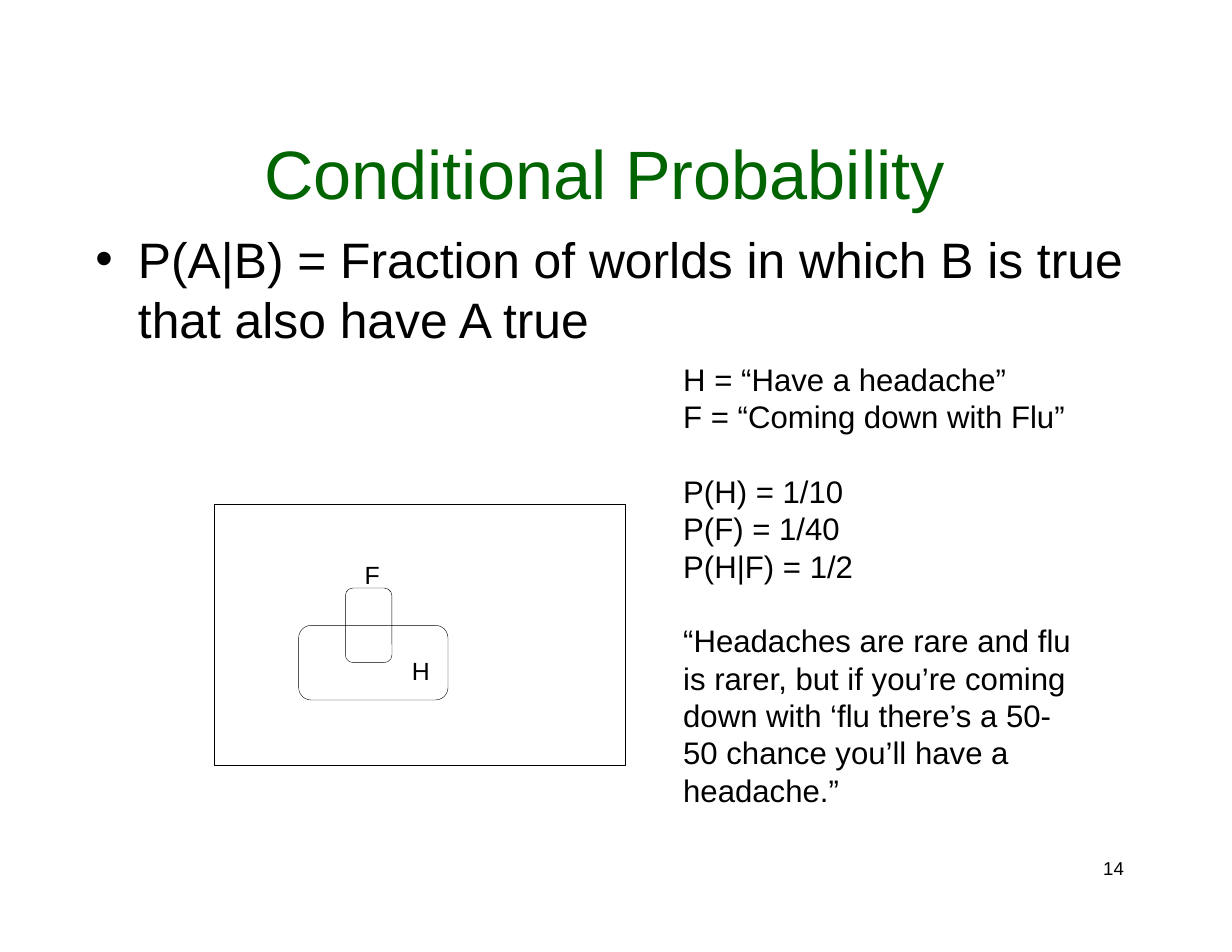
from dataclasses import dataclass

import pptx
import pptx.dml.color
import pptx.enum.shapes
import pptx.enum.text
import pptx.oxml.ns
import pptx.util
from lxml import etree

GREEN = pptx.dml.color.RGBColor(0x00, 0x65, 0x00)
BLACK = pptx.dml.color.RGBColor(0x00, 0x00, 0x00)
FONT = "Arial"
KIND = pptx.enum.shapes.MSO_SHAPE
ALIGN = pptx.enum.text.PP_ALIGN
CELL = pptx.util.Inches(1 / 12)  # the grid has twelve columns and rows an inch
LINE = 4  # rows in one line of notes
LEFT, TOP = 73.2, 38.6  # first cell of the notes


@dataclass
class Area:
    col: float
    row: float
    cols: float
    rows: float

    def place(self) -> tuple:
        """Left, top, width and height in slide units."""
        return tuple(round(n * CELL) for n in (self.col, self.row, self.cols, self.rows))


@dataclass
class Box:
    kind: KIND
    area: Area


@dataclass
class Text:
    lines: list
    area: Area
    size: float
    pitch: float | None = None
    align: ALIGN = ALIGN.LEFT


BOXES = [
    Box(KIND.RECTANGLE, Area(23, 54, 44, 28)),
    Box(KIND.ROUNDED_RECTANGLE, Area(32, 67, 16, 8)),
    Box(KIND.ROUNDED_RECTANGLE, Area(37, 63, 5, 8)),
]

TITLE = Text(["Conditional Probability"], Area(28.3, 14, 74.4, 9), 44)
BODY = Text(["P(A|B) = Fraction of worlds in which B is true that also have A true"],
            Area(10.1, 24.5, 111.6, 13), 32, 38.5)
TEXTS = [
    Text(["H = “Have a headache”", "F = “Coming down with Flu”"],
         Area(LEFT, TOP, 45, 2 * LINE), 20, 24),
    Text(["P(H) = 1/10", "P(F) = 1/40", "P(H|F) = 1/2"],
         Area(LEFT, TOP + 3 * LINE, 20, 3 * LINE), 20, 24),
    Text(["“Headaches are rare and flu is rarer, but if you’re coming "
          "down with ‘flu there’s a 50-50 chance you’ll have a headache.”"],
         Area(LEFT, TOP + 7 * LINE, 42, 5 * LINE), 20, 24),
    Text(["F"], Area(37.4, 60, 5, 3), 16, align=ALIGN.CENTER),
    Text(["H"], Area(42.6, 70.2, 5, 3), 16, align=ALIGN.CENTER),
    Text(["14"], Area(118.2, 91.8, 3, 2.5), 12),
]


def draw(slide, box: Box) -> None:
    shape = slide.shapes.add_shape(box.kind, *box.area.place())
    shape.shadow.inherit = False
    shape.fill.background()
    shape.line.color.rgb = BLACK
    shape.line.width = pptx.util.Pt(0.25)


def fill(shape, text: Text, color=BLACK, bullet: bool = False) -> None:
    """Move the shape to its area and write its formatted lines."""
    shape.left, shape.top, shape.width, shape.height = text.area.place()
    frame = shape.text_frame
    frame.margin_left = frame.margin_right = 0
    frame.margin_top = frame.margin_bottom = 0
    frame.word_wrap = True
    frame.auto_size = pptx.enum.text.MSO_AUTO_SIZE.NONE
    frame.vertical_anchor = pptx.enum.text.MSO_ANCHOR.TOP
    frame.text = "\n".join(text.lines)
    for par in frame.paragraphs:
        if bullet:
            hang(par)
        par.alignment = text.align
        par.space_before = pptx.util.Pt(0)
        if text.pitch:
            par.line_spacing = pptx.util.Pt(text.pitch)
        par.font.name = FONT
        par.font.size = pptx.util.Pt(text.size)
        par.font.color.rgb = color


def hang(par) -> None:
    """Give the paragraph a bullet and a hanging indent."""
    props = par._p.get_or_add_pPr()
    props.set("marL", str(pptx.util.Inches(0.39)))
    props.set("indent", str(-pptx.util.Inches(0.38)))
    mark = etree.SubElement(props, pptx.oxml.ns.qn("a:buChar"))
    mark.set("char", "•")


def main() -> None:
    deck = pptx.Presentation()
    deck.slide_width = pptx.util.Inches(11)
    deck.slide_height = pptx.util.Inches(8.5)
    slide = deck.slides.add_slide(deck.slide_layouts[1])
    fill(slide.shapes.title, TITLE, GREEN)
    fill(slide.placeholders[1], BODY, bullet=True)
    for box in BOXES:
        draw(slide, box)
    for text in TEXTS:
        fill(slide.shapes.add_textbox(*text.area.place()), text)
    deck.save("out.pptx")


if __name__ == "__main__":
    main()
